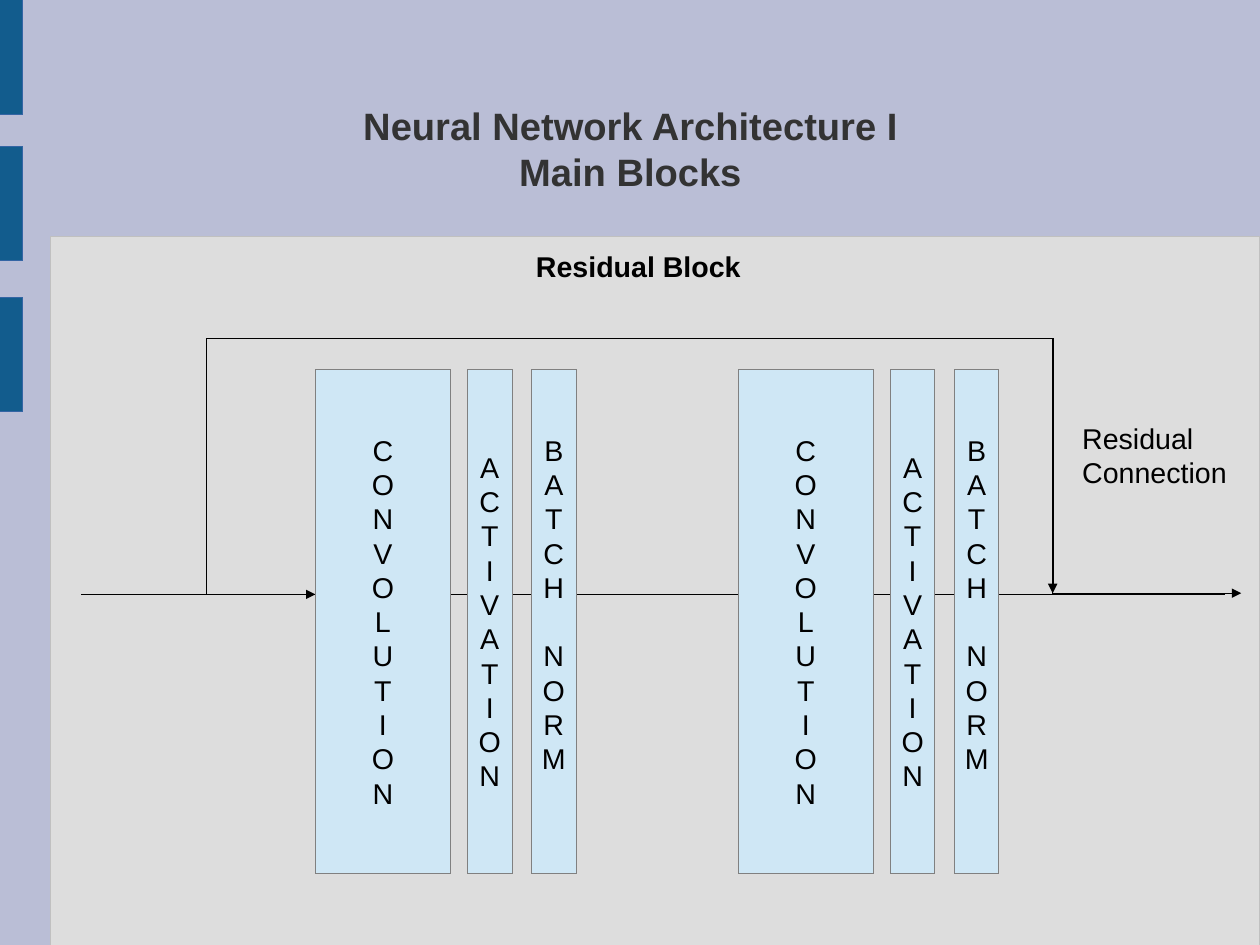
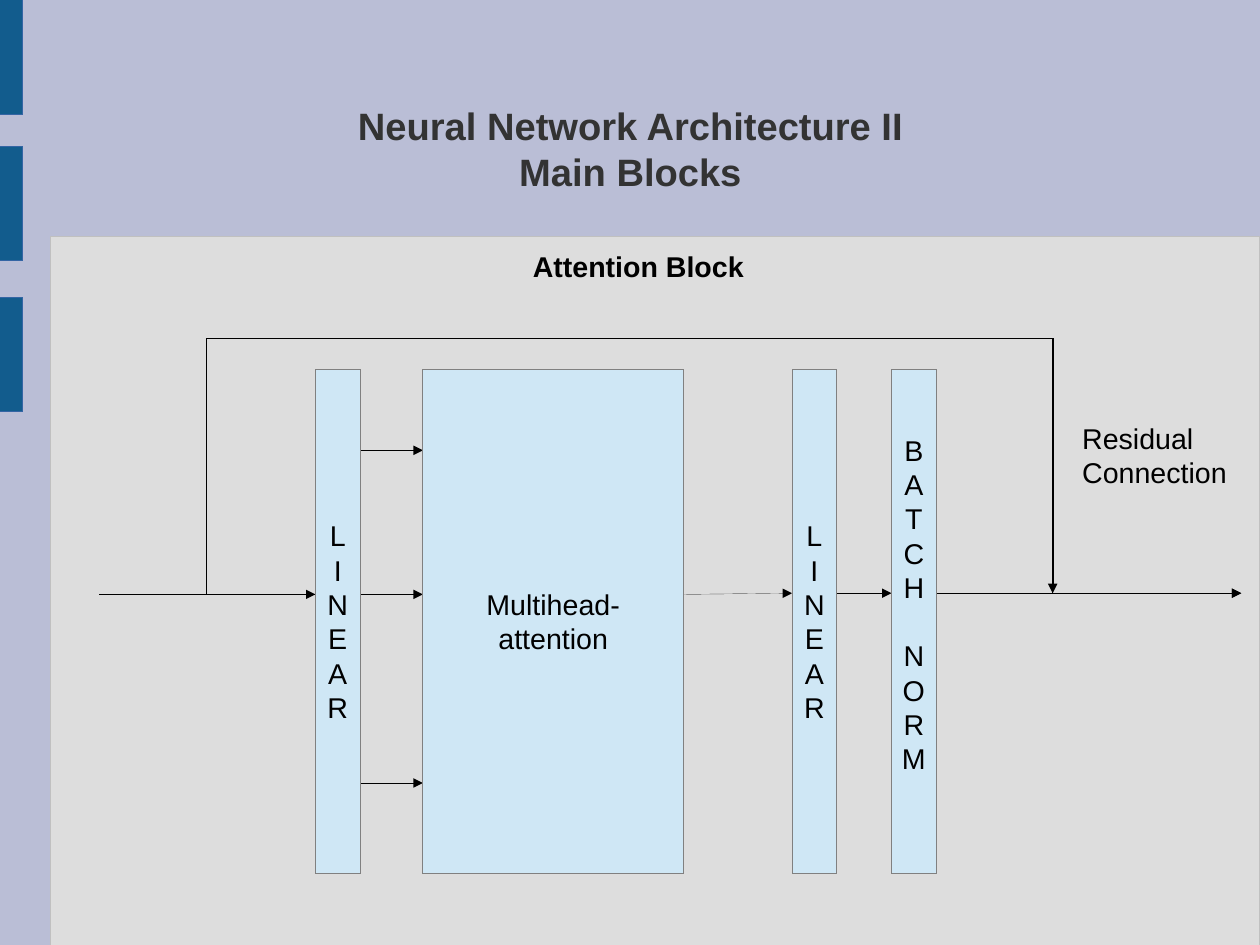
"""Build two slides on the main blocks of a neural network."""
from dataclasses import dataclass

from lxml import etree
from pptx import Presentation
from pptx.dml.color import RGBColor
from pptx.enum.shapes import MSO_CONNECTOR, MSO_SHAPE
from pptx.enum.text import MSO_ANCHOR, PP_ALIGN
from pptx.oxml.ns import qn
from pptx.presentation import Presentation as Deck
from pptx.shapes.autoshape import Shape
from pptx.shapes.connector import Connector
from pptx.slide import Slide
from pptx.text.text import TextFrame
from pptx.util import Inches, Pt

RECTANGLE = MSO_SHAPE.RECTANGLE
STRAIGHT, ELBOW = MSO_CONNECTOR.STRAIGHT, MSO_CONNECTOR.ELBOW
TOP, MIDDLE = MSO_ANCHOR.TOP, MSO_ANCHOR.MIDDLE
LEFT, CENTER = PP_ALIGN.LEFT, PP_ALIGN.CENTER

BACKGROUND = RGBColor(0xBA, 0xBE, 0xD6)
PANEL_FILL = RGBColor(0xDD, 0xDD, 0xDD)
PANEL_LINE = RGBColor(0xC0, 0xC0, 0xC0)
BAND_FILL = RGBColor(0x12, 0x5C, 0x8D)
BAND_LINE = RGBColor(0x34, 0x65, 0xA4)
BLOCK_FILL = RGBColor(0xCF, 0xE7, 0xF5)
BLOCK_LINE = RGBColor(0x80, 0x80, 0x80)
TITLE_COLOR = RGBColor(0x33, 0x33, 0x33)
BLACK = RGBColor(0, 0, 0)

FONT = "Arial"
CM_PER_INCH = 2.54
SLIDE_WIDTH, SLIDE_HEIGHT = 28 / CM_PER_INCH, 21 / CM_PER_INCH
BAND_TOPS = (0, 2.6, 1.28)
BLOCK_TOP, BLOCK_HEIGHT = 3.23, 4.41
NARROW, WIDE = 0.39, 1.18
FLOW_Y, JOIN_Y, BYPASS_Y = 5.2, 5.19, 2.96
FIRST_BLOCK_X, BYPASS_X, JOIN_X, OUTPUT_X = 2.76, 4.96, 9.21, 10.86
BRANCH_X = 1.81
GROUP_PITCH = 3.7
LETTER_PITCH = 0.3


@dataclass(frozen=True)
class TextStyle:
    """Character and paragraph look of a text."""
    size: int = 18
    bold: bool = False
    color: RGBColor = BLACK
    align: PP_ALIGN = CENTER


@dataclass(frozen=True)
class Layer:
    """Text and width of a network layer, with an optional word gap."""
    lines: tuple[str, ...]
    width: float = NARROW
    second_word: int = 0


@dataclass(frozen=True)
class Block:
    """A layer placed at a horizontal position."""
    left: float
    layer: Layer


@dataclass(frozen=True)
class Link:
    """A line of the diagram; an elbow turns at the given position."""
    start: tuple[float, float]
    end: tuple[float, float]
    arrow: bool = True
    turn_x: float | None = None


@dataclass(frozen=True)
class Diagram:
    """Content of one slide."""
    title: str
    heading: str
    links: tuple[Link, ...]
    blocks: tuple[Block, ...]


BODY = TextStyle()
LABEL = TextStyle(align=LEFT)
HEADING = TextStyle(bold=True)
TITLE = TextStyle(24, True, TITLE_COLOR)

CONVOLUTION = Layer(tuple("CONVOLUTION"), WIDE)
ACTIVATION = Layer(tuple("ACTIVATION"))
BATCH_NORM = Layer(tuple("BATCHNORM"), second_word=len("BATCH"))
LINEAR = Layer(tuple("LINEAR"))
ATTENTION = Layer(("Multihead-", "attention"), 2.28)

SHARED_LINKS = (
    Link((0.87, FLOW_Y), (FIRST_BLOCK_X, FLOW_Y)),
    Link((BYPASS_X, BYPASS_Y), (OUTPUT_X, JOIN_Y), turn_x=JOIN_X),
    Link((FIRST_BLOCK_X, FLOW_Y), (BYPASS_X, BYPASS_Y), False, BRANCH_X),
    Link((JOIN_X, BYPASS_Y), (JOIN_X, JOIN_Y)),
)

DIAGRAMS = (
    Diagram(
        "Neural Network Architecture I\nMain Blocks",
        "Residual Block",
        (Link((0.71, FLOW_Y), (10.71, FLOW_Y), False),),
        tuple(
            Block(FIRST_BLOCK_X + group * GROUP_PITCH + offset, layer)
            for group in range(2)
            for offset, layer in ((0, CONVOLUTION), (1.33, ACTIVATION), (1.89, BATCH_NORM))
        ),
    ),
    Diagram(
        "Neural Network Architecture II\nMain Blocks",
        "Attention Block",
        tuple(Link((3.15, y), (3.7, y)) for y in (FLOW_Y, 3.94, 6.85))
        + (
            Link((5.98, FLOW_Y), (6.93, JOIN_Y)),
            Link((7.32, JOIN_Y), (7.8, JOIN_Y)),
            Link((8.19, JOIN_Y), (OUTPUT_X, JOIN_Y)),
        ),
        (
            Block(FIRST_BLOCK_X, LINEAR),
            Block(3.7, ATTENTION),
            Block(6.93, LINEAR),
            Block(7.8, BATCH_NORM),
        ),
    ),
)


def set_hairline(shape: Shape | Connector, color: RGBColor) -> None:
    """Give a shape or connector a line of zero width."""
    shape.line.color.rgb = color
    shape.element.spPr.find(qn("a:ln")).set("w", "0")


def add_rectangle(slide: Slide, left: float, top: float, width: float, height: float,
                  fill: RGBColor, line: RGBColor) -> Shape:
    """Add a filled rectangle with a hairline border."""
    shape = slide.shapes.add_shape(
        RECTANGLE, Inches(left), Inches(top), Inches(width), Inches(height))
    shape.shadow.inherit = False
    shape.fill.solid()
    shape.fill.fore_color.rgb = fill
    set_hairline(shape, line)
    return shape


def write_lines(frame: TextFrame, lines: tuple[str, ...], style: TextStyle,
                second_word: int = 0) -> None:
    """Write each line as a paragraph, leaving a gap before a second word."""
    for index, line in enumerate(lines):
        paragraph = frame.paragraphs[0] if index == 0 else frame.add_paragraph()
        paragraph.alignment = style.align
        if second_word and index == second_word:
            paragraph.space_before = Pt(LETTER_PITCH * 72)
        for part_index, part in enumerate(line.split("\n")):
            if part_index:
                paragraph.add_line_break()
            run = paragraph.add_run()
            run.text = part
            run.font.name = FONT
            run.font.size = Pt(style.size)
            run.font.bold = style.bold
            run.font.color.rgb = style.color


def add_text(slide: Slide, left: float, top: float, width: float, height: float,
             lines: tuple[str, ...], style: TextStyle, anchor: MSO_ANCHOR = TOP) -> None:
    """Add a wrapping text box."""
    box = slide.shapes.add_textbox(Inches(left), Inches(top), Inches(width), Inches(height))
    frame = box.text_frame
    frame.word_wrap = True
    frame.vertical_anchor = anchor
    write_lines(frame, lines, style)


def add_block(slide: Slide, block: Block) -> None:
    """Add a layer block with centred text."""
    layer = block.layer
    shape = add_rectangle(slide, block.left, BLOCK_TOP, layer.width, BLOCK_HEIGHT,
                          BLOCK_FILL, BLOCK_LINE)
    frame = shape.text_frame
    frame.word_wrap = layer.width > NARROW
    frame.vertical_anchor = MIDDLE
    if layer.second_word:
        frame.margin_bottom = Inches(0.05 + LETTER_PITCH)
    write_lines(frame, layer.lines, BODY, layer.second_word)


def add_link(slide: Slide, link: Link) -> None:
    """Add a straight or elbow connector."""
    (start_x, start_y), (end_x, end_y) = link.start, link.end
    kind = STRAIGHT if link.turn_x is None else ELBOW
    connector = slide.shapes.add_connector(
        kind, Inches(start_x), Inches(start_y), Inches(end_x), Inches(end_y))
    set_hairline(connector, BLACK)
    properties = connector.element.spPr
    if link.arrow:
        etree.SubElement(properties.find(qn("a:ln")), qn("a:tailEnd"), type="triangle")
    if link.turn_x is not None:
        share = round((link.turn_x - start_x) / (end_x - start_x) * 100000)
        adjustments = properties.find(qn("a:prstGeom")).find(qn("a:avLst"))
        etree.SubElement(adjustments, qn("a:gd"), name="adj1", fmla=f"val {share}")
    etree.SubElement(properties, qn("a:effectLst"))


def add_frame(slide: Slide) -> None:
    """Add the panel and side bands that all slides share."""
    slide.background.fill.solid()
    slide.background.fill.fore_color.rgb = BACKGROUND
    add_rectangle(slide, 0.44, 2.07, 10.58, 6.2, PANEL_FILL, PANEL_LINE)
    for top in BAND_TOPS:
        add_rectangle(slide, 0, top, 0.2, 1, BAND_FILL, BAND_LINE)


def add_diagram(presentation: Deck, diagram: Diagram) -> None:
    """Add one slide with its block diagram."""
    slide = presentation.slides.add_slide(presentation.slide_layouts[6])
    add_frame(slide)
    add_text(slide, 0.81, 0.61, 9.41, 1.38, (diagram.title,), TITLE, MIDDLE)
    add_text(slide, 2.83, 2.13, 5.51, 0.39, (diagram.heading,), HEADING)
    for link in SHARED_LINKS + diagram.links:
        add_link(slide, link)
    for block in diagram.blocks:
        add_block(slide, block)
    add_text(slide, 9.37, 3.63, 1.57, 0.94, ("Residual", "Connection"), LABEL)


def main() -> None:
    """Build and save the presentation."""
    presentation = Presentation()
    presentation.slide_width = Inches(SLIDE_WIDTH)
    presentation.slide_height = Inches(SLIDE_HEIGHT)
    for diagram in DIAGRAMS:
        add_diagram(presentation, diagram)
    presentation.save("out.pptx")


if __name__ == "__main__":
    main()
